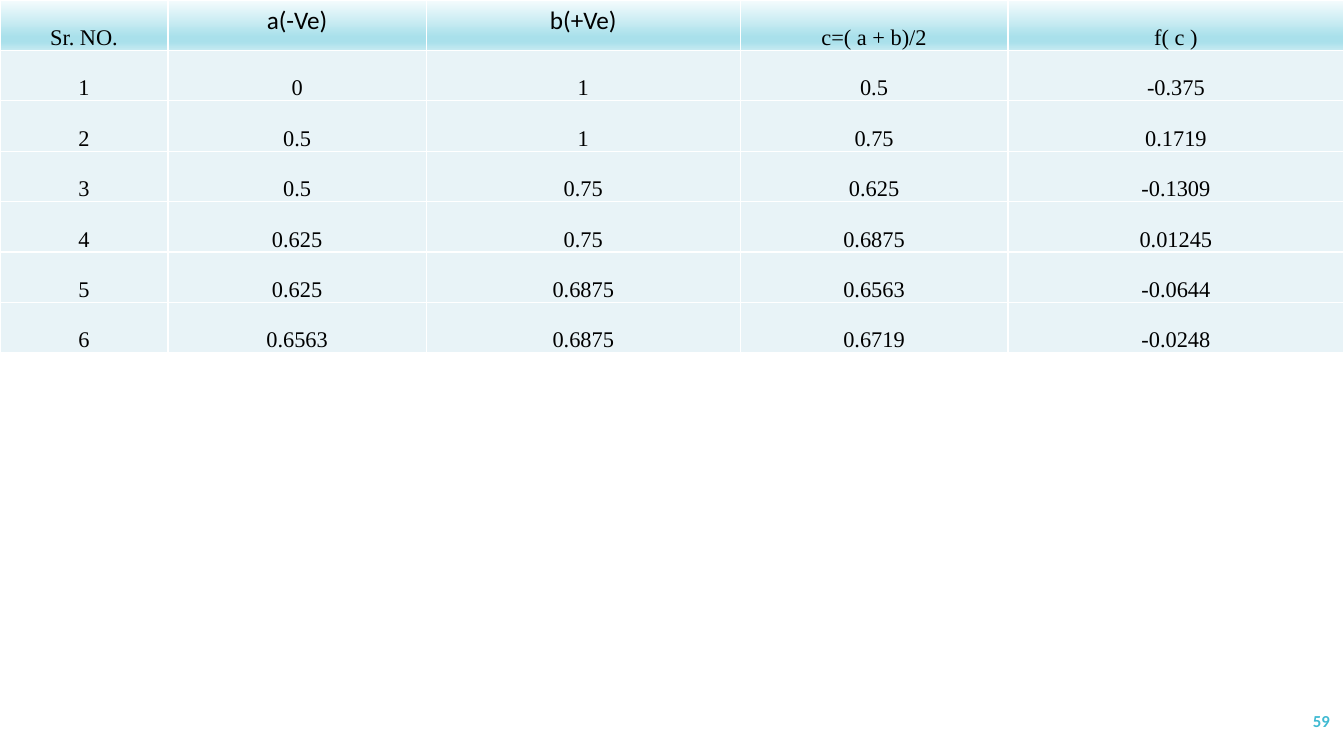
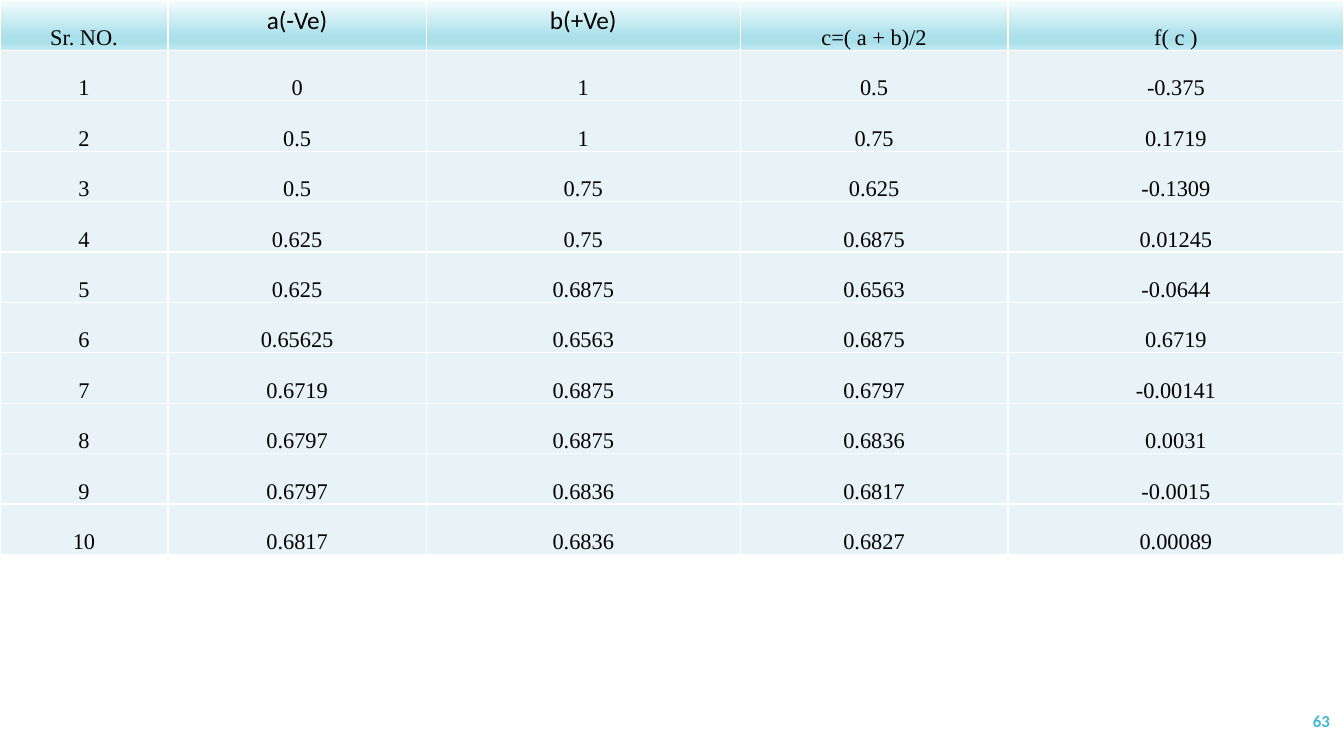
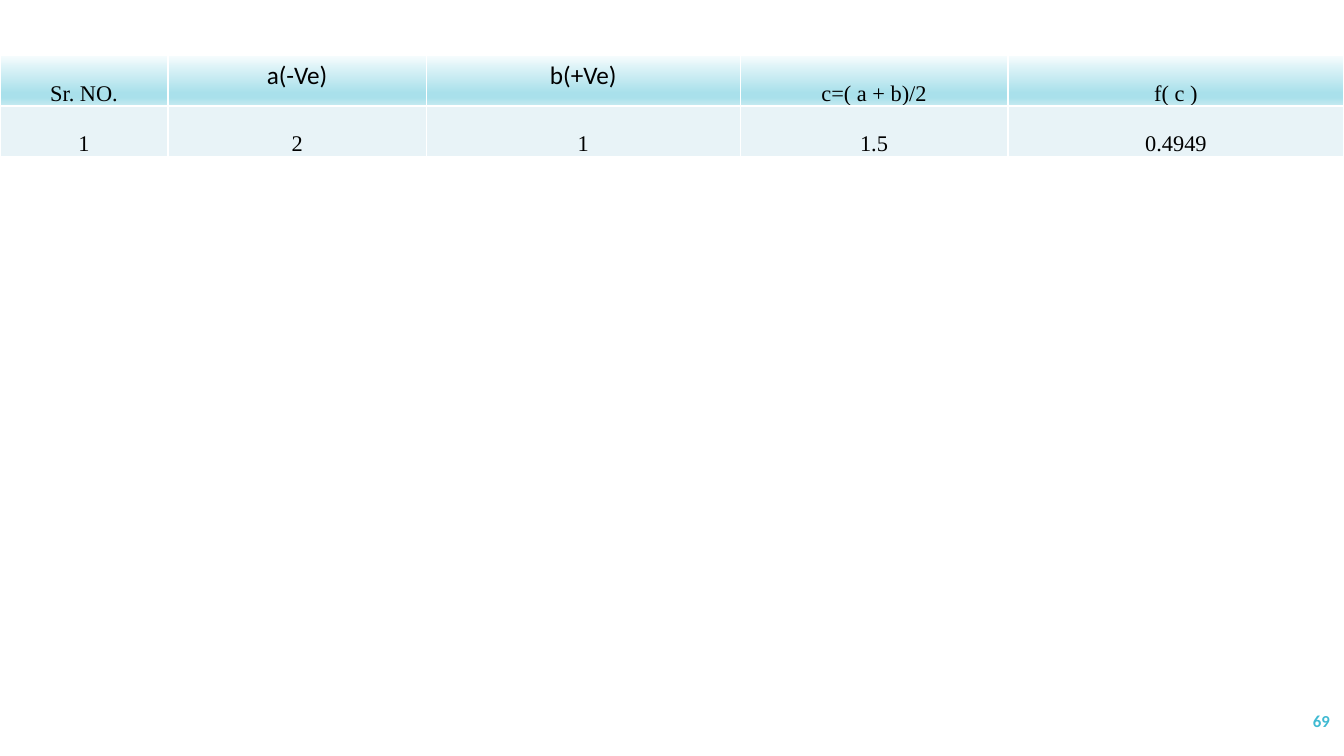
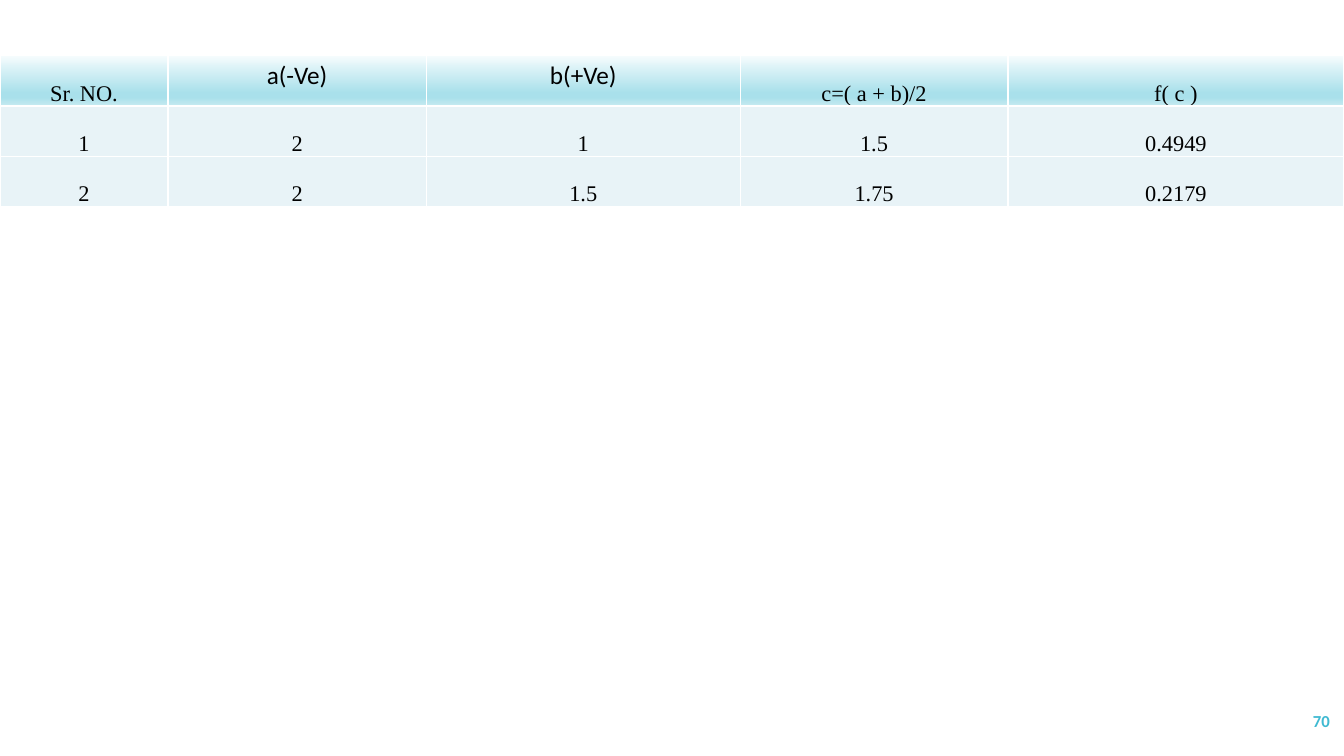
from dataclasses import dataclass

from pptx import Presentation, util as u
from pptx.dml.color import RGBColor
from pptx.enum import text as t
from pptx.oxml import parse_xml
from pptx.oxml.ns import nsdecls

PX = 9525  # EMU in one px, at 96 px to the inch


# Colours, fonts and type sizes
@dataclass(frozen=True)
class Theme:
    ink: str = "000000"
    line: str = "FFFFFF"
    body: str = "E8F3F7"
    page: str = "40BAD2"
    head: tuple = ((0, "F5FCFD"), (74, "A9E0EB"), (83, "A9E0EB"), (100, "C6EAF1"))
    sans: str = "Calibri"
    serif: str = "Times New Roman"
    big: int = 18
    mid: int = 16
    small: int = 12


TH = Theme()
WIDE, HIGH = 1280, 720
COLS = (160, 246, 299, 255, 320)
ROW = 48
LOW = 53  # top of a table that leaves a gap above it

# Table content
HEAD = ("Sr. NO.", "a(-Ve)", "b(+Ve)", "c=( a + b)/2", "f( c )")
SANS = HEAD[1:3]  # headings set in the sans font at the top of the cell
FIRST = [
    ("0", "1", "0.5", "-0.375"),
    ("0.5", "1", "0.75", "0.1719"),
    ("0.5", "0.75", "0.625", "-0.1309"),
    ("0.625", "0.75", "0.6875", "0.01245"),
    ("0.625", "0.6875", "0.6563", "-0.0644"),
]
SIX = [("0.6563", "0.6875", "0.6719", "-0.0248")]
TEN = [
    ("0.65625", "0.6563", "0.6875", "0.6719"),
    ("0.6719", "0.6875", "0.6797", "-0.00141"),
    ("0.6797", "0.6875", "0.6836", "0.0031"),
    ("0.6797", "0.6836", "0.6817", "-0.0015"),
    ("0.6817", "0.6836", "0.6827", "0.00089"),
]
NEXT = [
    ("2", "1", "1.5", "0.4949"),
    ("2", "1.5", "1.75", "0.2179"),
]
# Page number, table top, rows
PAGES = (
    (59, 0, FIRST + SIX),
    (63, 0, FIRST + TEN),
    (69, LOW, NEXT[:1]),
    (70, LOW, NEXT),
)


def px(*sizes):
    return [u.Emu(size * PX) for size in sizes]


def write(frame, words, align, face, size, hue, bold=False):
    para = frame.paragraphs[0]
    para.alignment = align
    run = para.add_run()
    run.text = words
    font = run.font
    font.name, font.size, font.bold = face, u.Pt(size), bold
    font.color.rgb = RGBColor.from_string(hue)


# Cell styling
def shade(cell):
    stops = "".join(
        f'<a:gs pos="{pos * 1000}"><a:srgbClr val="{hue}"/></a:gs>'
        for pos, hue in TH.head
    )
    cell._tc.get_or_add_tcPr().append(parse_xml(
        f'<a:gradFill {nsdecls("a")} rotWithShape="1"><a:gsLst>{stops}</a:gsLst>'
        '<a:lin ang="5400000" scaled="0"/></a:gradFill>'
    ))


def edge(cell):
    props = cell._tc.get_or_add_tcPr()
    for spot, side in enumerate("LRTB"):
        props.insert(spot, parse_xml(
            f'<a:ln{side} {nsdecls("a")} w="{u.Pt(1)}"><a:solidFill>'
            f'<a:srgbClr val="{TH.line}"/></a:solidFill></a:ln{side}>'
        ))


def fill(cell, words, top):
    if top:
        shade(cell)
    else:
        cell.fill.solid()
        cell.fill.fore_color.rgb = RGBColor.from_string(TH.body)
    edge(cell)
    face, size = TH.serif, TH.mid
    if top and words in SANS:
        face, size = TH.sans, TH.big
    else:
        cell.vertical_anchor = t.MSO_ANCHOR.BOTTOM
        cell.margin_left = cell.margin_right = cell.margin_top = u.Emu(PX)
        cell.margin_bottom = 0
    write(cell.text_frame, words, t.PP_ALIGN.CENTER, face, size, TH.ink)


# Slide parts
def grid(slide, top, rows):
    lines = [HEAD] + [(str(num), *row) for num, row in enumerate(rows, 1)]
    box = px(0, top, WIDE, ROW * len(lines))
    table = slide.shapes.add_table(len(lines), len(COLS), *box).table
    table.first_row = table.horz_banding = False
    for col, wide in zip(table.columns, px(*COLS)):
        col.width = wide
    for r, line in enumerate(lines):
        table.rows[r].height = u.Emu(ROW * PX)
        for c, words in enumerate(line):
            fill(table.cell(r, c), words, r == 0)


def foot(slide, num):
    frame = slide.shapes.add_textbox(*px(1116, 667, 160, 38)).text_frame
    frame.word_wrap = True
    frame.vertical_anchor = t.MSO_ANCHOR.MIDDLE
    write(frame, str(num), t.PP_ALIGN.RIGHT, TH.sans, TH.small, TH.page, True)


def main():
    deck = Presentation()
    deck.slide_width, deck.slide_height = px(WIDE, HIGH)
    for num, top, rows in PAGES:
        slide = deck.slides.add_slide(deck.slide_layouts[6])
        grid(slide, top, rows)
        foot(slide, num)
    deck.save("out.pptx")


if __name__ == "__main__":
    main()
